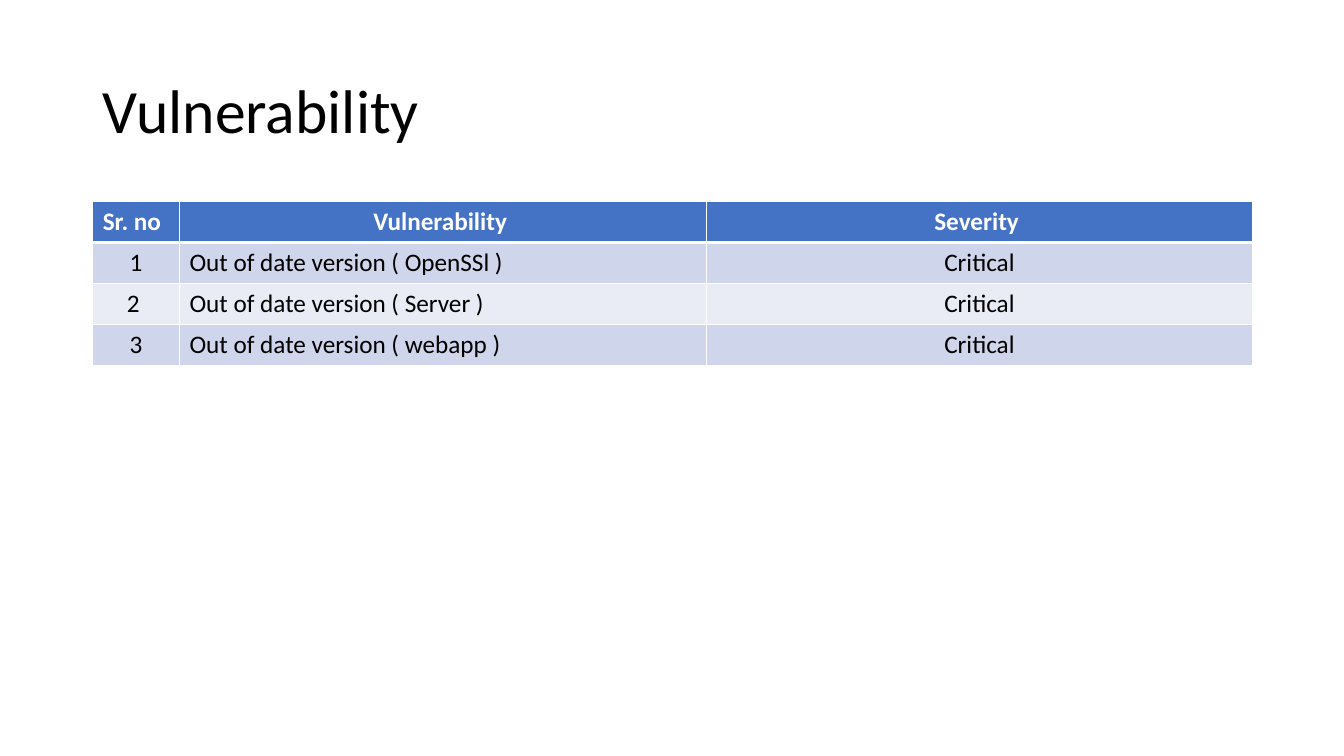
"""Build a slide that lists vulnerabilities and their severity in a table."""
import dataclasses

import lxml.etree
import pptx
import pptx.dml.color
import pptx.enum.text
import pptx.oxml.ns
import pptx.util

Inches = pptx.util.Inches
Align = pptx.enum.text.PP_ALIGN


@dataclasses.dataclass(frozen=True)
class Theme:
    font: str = "Calibri"
    title_size: int = 44
    table_size: int = 18
    text: str = "000000"
    white: str = "FFFFFF"
    header: str = "4472C4"
    bands: tuple = ("CFD5EA", "E9EBF5")
    line: int = 1
    header_line: int = 3


def format_runs(para, size, color, bold=False):
    for span in para.runs:
        span.font.name = theme.font
        span.font.size = pptx.util.Pt(size)
        span.font.bold = bold
        span.font.color.rgb = pptx.dml.color.RGBColor.from_string(color)


def add_border(cell, side, width):
    qn = pptx.oxml.ns.qn
    line = lxml.etree.SubElement(cell._tc.get_or_add_tcPr(), qn(f"a:ln{side}"), w=str(pptx.util.Pt(width)))
    fill = lxml.etree.SubElement(line, qn("a:solidFill"))
    lxml.etree.SubElement(fill, qn("a:srgbClr"), val=theme.white)


theme = Theme()
deck = pptx.Presentation()
deck.slide_width, deck.slide_height = Inches(13.33), Inches(7.5)
page = deck.slides.add_slide(deck.slide_layouts[5])

title = page.shapes.title
title.left, title.top = Inches(0.92), Inches(0.4)
title.width, title.height = Inches(11.5), Inches(1.45)
title.text_frame.text = "Vulnerability"
title.text_frame.vertical_anchor = pptx.enum.text.MSO_ANCHOR.MIDDLE
heading = title.text_frame.paragraphs[0]
heading.alignment = Align.LEFT
heading.line_spacing = 0.9
format_runs(heading, theme.title_size, theme.text)

rows = [
    ("Sr. no", "Vulnerability ", "Severity "),
    ("1", "Out of date version ( OpenSSl )", "Critical"),
    ("2 ", "Out of date version ( Server )", "Critical"),
    ("3", "Out of date version ( webapp )", "Critical"),
]
column_widths = (0.86, 5.23, 5.41)
header_alignment = (Align.LEFT, Align.CENTER, Align.CENTER)
body_alignment = (Align.CENTER, Align.LEFT, Align.CENTER)

table = page.shapes.add_table(
    len(rows), len(column_widths), Inches(0.92), Inches(2), Inches(11.5), Inches(1.62)
).table
for column, width in zip(table.columns, column_widths):
    column.width = Inches(width)

for row_index, row in enumerate(rows):
    is_header = row_index == 0
    fill_color = theme.header if is_header else theme.bands[(row_index - 1) % 2]
    text_color = theme.white if is_header else theme.text
    alignments = header_alignment if is_header else body_alignment
    for column_index, text in enumerate(row):
        cell = table.cell(row_index, column_index)
        for side in "LRTB":
            below_header = (row_index, side) in ((0, "B"), (1, "T"))
            add_border(cell, side, theme.header_line if below_header else theme.line)
        cell.fill.solid()
        cell.fill.fore_color.rgb = pptx.dml.color.RGBColor.from_string(fill_color)
        cell.text_frame.text = text
        para = cell.text_frame.paragraphs[0]
        para.alignment = alignments[column_index]
        format_runs(para, theme.table_size, text_color, is_header)

deck.save("out.pptx")
